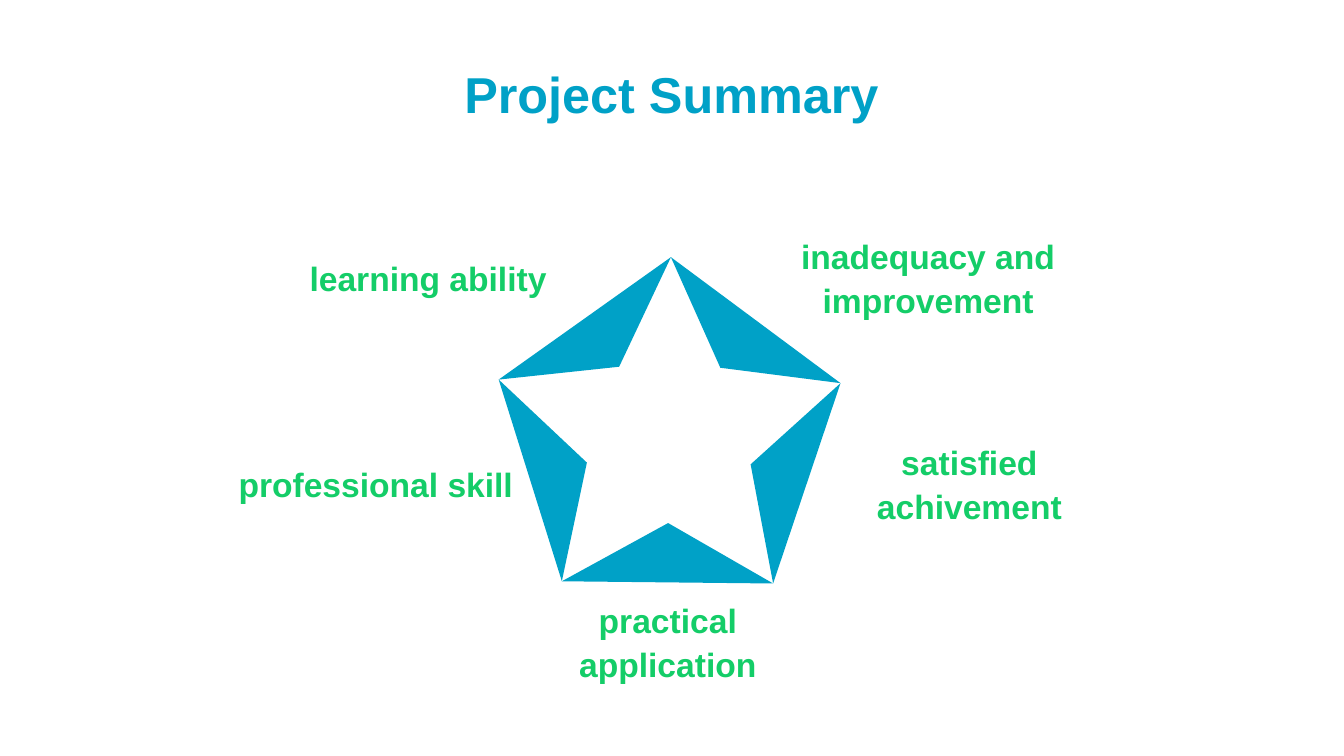
from dataclasses import dataclass
from math import cos, radians, sin

from pptx import Presentation
from pptx.dml.color import RGBColor
from pptx.enum.text import MSO_ANCHOR, PP_ALIGN
from pptx.slide import Slide
from pptx.util import Cm, Pt

CENTER = PP_ALIGN.CENTER
MIDDLE = MSO_ANCHOR.MIDDLE
BOTTOM = MSO_ANCHOR.BOTTOM


@dataclass(frozen=True)
class Theme:
    font: str = "Arial"
    blue: RGBColor = RGBColor(0x00, 0xA1, 0xC7)
    green: RGBColor = RGBColor(0x14, 0xCD, 0x68)
    title_size: int = 36
    label_size: int = 24


@dataclass(frozen=True)
class Label:
    text: str
    left: float
    top: float


@dataclass(frozen=True)
class Star:
    center_x: float
    center_y: float
    tip_radius: float
    notch_radius: float
    tilt: float
    points: int

    def vertex(self, radius: float, angle: float) -> tuple[int, int]:
        """Return a position, with the angle in degrees clockwise from the top."""
        turn = radians(angle + self.tilt)
        return (
            Cm(self.center_x + radius * sin(turn)),
            Cm(self.center_y - radius * cos(turn)),
        )


THEME = Theme()
STAR = Star(16.86, 11.01, 4.53, 2.17, 0.6, 5)
LABEL_WIDTH, LABEL_HEIGHT = 7.3, 2.37
LABELS = [
    Label("inadequacy and improvement", 19.74, 5.77),
    Label("learning ability", 7.14, 5.77),
    Label("satisfied achivement", 20.78, 10.97),
    Label("professional skill", 5.82, 10.97),
    Label("practical application", 13.18, 14.94),
]


def draw_star_frame(page: Slide, star: Star) -> None:
    """Fill the triangles between neighbouring tips, leaving a white star."""
    step = 360 / star.points
    for index in range(star.points):
        angle = index * step
        start = star.vertex(star.tip_radius, angle)
        end = star.vertex(star.tip_radius, angle + step)
        notch = star.vertex(star.notch_radius, angle + step / 2)
        builder = page.shapes.build_freeform(*start, scale=1.0)
        builder.add_line_segments([end, notch], close=True)
        triangle = builder.convert_to_shape()
        triangle.shadow.inherit = False
        triangle.fill.solid()
        triangle.fill.fore_color.rgb = THEME.blue
        triangle.line.fill.background()


def add_text(page: Slide, text: str, left: float, top: float, width: float,
             height: float, size: int, color: RGBColor, spacing: float,
             anchor: MSO_ANCHOR) -> None:
    box = page.shapes.add_textbox(Cm(left), Cm(top), Cm(width), Cm(height))
    frame = box.text_frame
    frame.word_wrap = True
    frame.vertical_anchor = anchor
    frame.margin_left = frame.margin_right = 0
    if anchor == MIDDLE:
        frame.margin_top = frame.margin_bottom = 0
    frame.text = text
    para = frame.paragraphs[0]
    para.alignment = CENTER
    para.line_spacing = spacing
    font = para.runs[0].font
    font.name = THEME.font
    font.size = Pt(size)
    font.bold = True
    font.color.rgb = color


def main() -> None:
    deck = Presentation()
    deck.slide_width, deck.slide_height = Cm(33.87), Cm(19.05)
    page = deck.slides.add_slide(deck.slide_layouts[6])
    draw_star_frame(page, STAR)
    for label in LABELS:
        add_text(page, label.text, label.left, label.top, LABEL_WIDTH,
                 LABEL_HEIGHT, THEME.label_size, THEME.green, 1.1, MIDDLE)
    add_text(page, "Project Summary", 5.33, 0.91, 23.19, 2.34,
             THEME.title_size, THEME.blue, 0.9, BOTTOM)
    deck.save("out.pptx")


if __name__ == "__main__":
    main()
